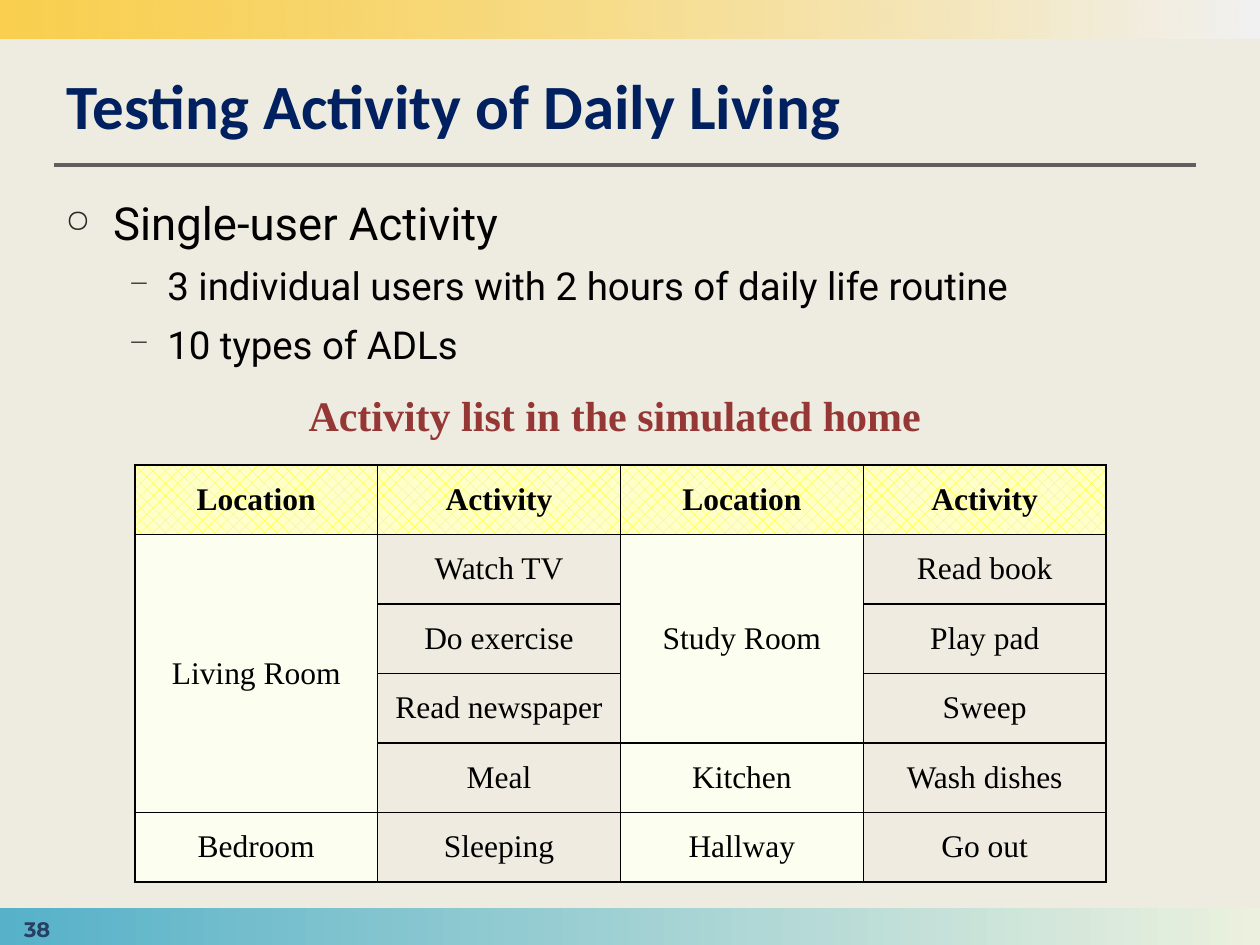
from lxml.etree import SubElement
from pptx import Presentation
from pptx.dml.color import RGBColor
from pptx.enum.dml import MSO_PATTERN
from pptx.enum.shapes import MSO_CONNECTOR, MSO_SHAPE
from pptx.enum.text import MSO_ANCHOR as ANCHOR, PP_ALIGN as ALIGN
from pptx.oxml.ns import qn
from pptx.util import Inches, Pt

W, H = 10, 7.5
COLORS = {
    "back": "EEECE1", "gold": "FFC30D", "pale": "F2F2F2",
    "teal": "56B1C9", "mint": "EBF1DE", "rule": "5F5F5F",
    "title": "002060", "black": "000000", "bullet": "292929",
    "page": "254061", "caption": "953735", "yellow": "FFFF00",
    "cream": "FFFFCA", "place": "FCFFEF", "act": "EFEBE1",
}
TITLE = "Testing Activity of Daily Living"
CAPTION = "Activity list in the simulated home"
PAGE = "38"
POINTS = [
    (0, "Single-user Activity"),
    (1, "3 individual users with 2 hours of daily life routine"),
    (1, "10 types of ADLs"),
]
# per level: bullet, left margin, hanging indent, text size
LEVELS = [("○", 0.38, 0.38, 26), ("−", 0.81, 0.31, 22)]
ROWS = [
    ("Location", "Activity", "Location", "Activity"),
    ("Living Room", "Watch TV", "Study Room", "Read book"),
    (None, "Do exercise", None, "Play pad"),
    (None, "Read newspaper", None, "Sweep"),
    (None, "Meal", "Kitchen", "Wash dishes"),
    ("Bedroom", "Sleeping", "Hallway", "Go out"),
]
GRID = (1.07, 3.69, 7.71, 3.31)


def rgb(name):
    return RGBColor.from_string(COLORS[name])


def box(*lengths):
    return [Inches(n) for n in lengths]


def style(para, face, size, color, bold=False):
    font = para.font
    font.name, font.size, font.bold = face, Pt(size), bold
    font.color.rgb = rgb(color)


def add_band(slide, top, start, end, alpha=None):
    """Full-width strip fading from left to right."""
    band = slide.shapes.add_shape(MSO_SHAPE.RECTANGLE, *box(0, top, W, 0.31))
    band.shadow.inherit = False
    band.line.fill.background()
    band.fill.gradient()
    band.fill.gradient_angle = 0
    for stop, name in zip(band.fill.gradient_stops, (start, end)):
        stop.color.rgb = rgb(name)
    if alpha:
        first = band._element.spPr.xpath(".//a:srgbClr")[0]
        SubElement(first, qn("a:alpha"), val=str(alpha * 1000))


def add_text(slide, place, anchor, wrap=True):
    frame = slide.shapes.add_textbox(*box(*place)).text_frame
    frame.word_wrap = wrap
    frame.vertical_anchor = anchor
    return frame


def add_line(slide, text, place, anchor, look, align=ALIGN.LEFT, wrap=True):
    """Text box with one bold paragraph."""
    para = add_text(slide, place, anchor, wrap).paragraphs[0]
    para.text, para.alignment = text, align
    style(para, *look, bold=True)


def add_points(slide):
    frame = add_text(slide, (0.42, 1.5, 8.98, 5.35), ANCHOR.TOP)
    for i, (level, text) in enumerate(POINTS):
        para = frame.add_paragraph() if i else frame.paragraphs[0]
        mark, left, hang, size = LEVELS[level]
        para.text, para.level = text, level
        if i:
            para.space_before = Pt(size * 0.33)
        props = para._p.get_or_add_pPr()
        props.set("marL", str(Inches(left)))
        props.set("indent", str(-Inches(hang)))
        tint = SubElement(props, qn("a:buClr"))
        SubElement(tint, qn("a:srgbClr"), val=COLORS["bullet"])
        SubElement(props, qn("a:buSzPct"), val="70000")
        SubElement(props, qn("a:buChar"), char=mark)
        style(para, "Roboto", size, "black")


def add_borders(cell, col, last):
    props = cell._tc.get_or_add_tcPr()
    for side in "LRTB":
        outer = (side, col) in (("L", 0), ("R", last))
        line = SubElement(props, qn("a:ln" + side),
                          w=str(Pt(1.5 if outer else 1)))
        fill = SubElement(line, qn("a:solidFill"))
        SubElement(fill, qn("a:srgbClr"), val=COLORS["black"])


def fill_cell(cell, row, col):
    if row == 0:
        cell.fill.patterned()
        cell.fill.pattern = MSO_PATTERN.PERCENT_30
        cell.fill.fore_color.rgb = rgb("yellow")
        cell.fill.back_color.rgb = rgb("cream")
    else:
        cell.fill.solid()
        cell.fill.fore_color.rgb = rgb("act" if col % 2 else "place")


def add_grid(slide):
    """Activity table; an empty entry joins the cell above it."""
    count, last = len(ROWS), len(ROWS[0]) - 1
    table = slide.shapes.add_table(count, last + 1, *box(*GRID)).table
    for r, row in enumerate(ROWS):
        for c, text in enumerate(row):
            cell = table.cell(r, c)
            add_borders(cell, c, last)
            fill_cell(cell, r, c)
            cell.vertical_anchor = ANCHOR.MIDDLE
            cell.margin_left = cell.margin_right = Inches(0.07)
            cell.margin_top = cell.margin_bottom = 0
            para = cell.text_frame.paragraphs[0]
            para.text, para.alignment = text or "", ALIGN.CENTER
            style(para, "Times New Roman", 18, "black", r == 0)
    for c in range(last + 1):
        for r in range(count):
            end = r
            while end + 1 < count and ROWS[end + 1][c] is None:
                end += 1
            if ROWS[r][c] and end > r:
                table.cell(r, c).merge(table.cell(end, c))


def main():
    deck = Presentation()
    deck.slide_width, deck.slide_height = box(W, H)
    slide = deck.slides.add_slide(deck.slide_layouts[6])
    slide.background.fill.solid()
    slide.background.fill.fore_color.rgb = rgb("back")

    add_band(slide, 7.21, "teal", "mint")
    add_band(slide, 0, "gold", "pale", 69)
    rule = slide.shapes.add_connector(MSO_CONNECTOR.STRAIGHT,
                                      *box(0.43, 1.31, 9.49, 1.31))
    rule.line.color.rgb, rule.line.width = rgb("rule"), Pt(2.25)
    SubElement(rule._element.spPr, qn("a:effectLst"))

    add_line(slide, TITLE, (0.43, 0.44, 8.98, 0.74), ANCHOR.BOTTOM,
             ("Calibri", 36, "title"))
    add_points(slide)
    add_line(slide, PAGE, (0, 7.14, 0.59, 0.47), ANCHOR.MIDDLE,
             ("Montserrat", 12, "page"), ALIGN.CENTER)
    add_grid(slide)
    add_line(slide, CAPTION, (2.35, 3.04, 5.11, 0.5), ANCHOR.MIDDLE,
             ("Times New Roman", 24, "caption"), wrap=False)
    deck.save("out.pptx")


if __name__ == "__main__":
    main()
